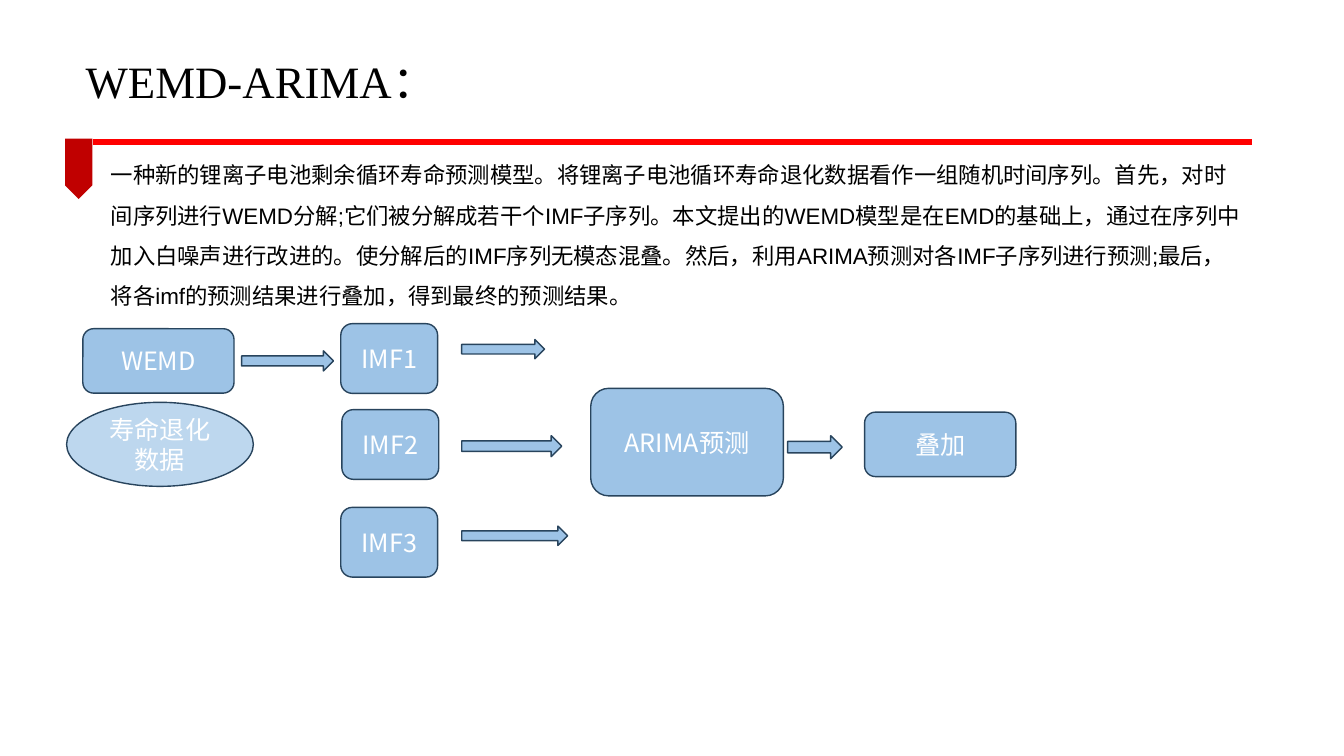
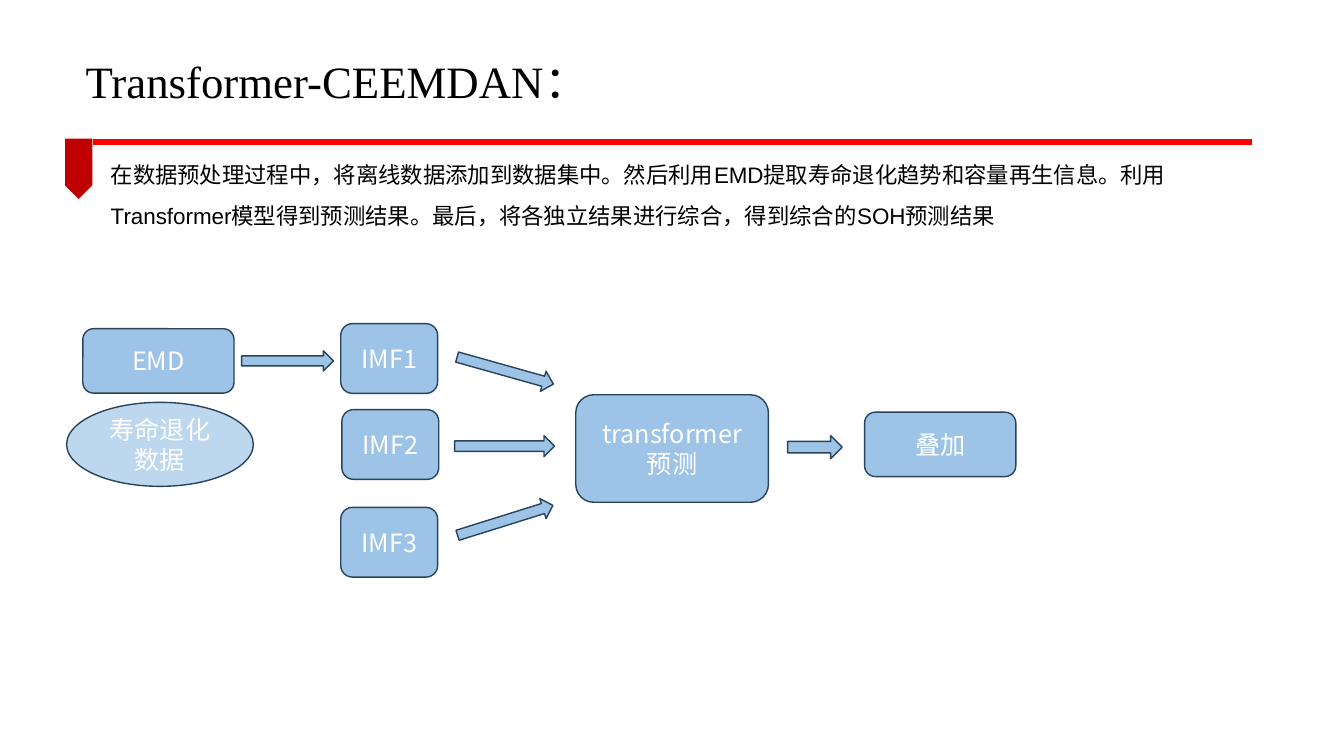
from lxml.etree import SubElement
from pptx import Presentation
from pptx.dml.color import RGBColor
from pptx.enum.shapes import MSO_CONNECTOR, MSO_SHAPE
from pptx.enum.text import MSO_ANCHOR, MSO_AUTO_SIZE, PP_ALIGN
from pptx.oxml.ns import qn
from pptx.util import Pt

COLORS = {
    "text": "000000",
    "rule": "FF0000",
    "ribbon": "C00000",
    "block": "9DC3E6",
    "data": "BDD7EE",
    "outline": "28445D",
    "label": "FFFFFF",
}
CHINESE_FONT = "Noto Sans CJK SC"


def write_text(shape, text, font="Arial", size=18, color="text",
               align=PP_ALIGN.LEFT, anchor=MSO_ANCHOR.TOP, spacing=1.0):
    frame = shape.text_frame
    frame.word_wrap = True
    frame.auto_size = MSO_AUTO_SIZE.NONE
    frame.vertical_anchor = anchor
    paragraph = frame.paragraphs[0]
    paragraph.alignment = align
    paragraph.line_spacing = spacing
    run = paragraph.add_run()
    run.text = text
    run.font.name = font
    run.font.size = Pt(size)
    run.font.color.rgb = RGBColor.from_string(COLORS[color])
    SubElement(run._r.get_or_add_rPr(), qn("a:ea"), typeface=CHINESE_FONT)


def add_block(slide, kind, box, fill="block", outline="outline",
              rotation=0, text="", font=CHINESE_FONT):
    """Add a filled shape; box is left, top, width, height in points."""
    shape = slide.shapes.add_shape(kind, *[Pt(length) for length in box])
    shape.shadow.inherit = False
    shape.rotation = rotation
    shape.fill.solid()
    shape.fill.fore_color.rgb = RGBColor.from_string(COLORS[fill])
    if outline:
        shape.line.color.rgb = RGBColor.from_string(COLORS[outline])
        shape.line.width = Pt(1)
    else:
        shape.line.fill.background()
    if text:
        write_text(shape, text, font=font, color="label",
                   align=PP_ALIGN.CENTER, anchor=MSO_ANCHOR.MIDDLE)
    return shape


MODELS = [
    {
        "title": "WEMD-ARIMA：",
        "summary": "一种新的锂离子电池剩余循环寿命预测模型。将锂离子电池循环寿命退化数据看作一组"
                   "随机时间序列。首先，对时间序列进行WEMD分解;它们被分解成若干个IMF子序列。"
                   "本文提出的WEMD模型是在EMD的基础上，通过在序列中加入白噪声进行改进的。"
                   "使分解后的IMF序列无模态混叠。然后，利用ARIMA预测对各IMF子序列进行预测;"
                   "最后，将各imf的预测结果进行叠加，得到最终的预测结果。",
        "summary_height": 121,
        "decomposition": "WEMD",
        "predictor": "ARIMA预测",
        "predictor_corner": (422, 277.4),
        "arrows": [
            ((329.8, 242.5, 59.2, 13.8), 0),
            ((329.8, 311.2, 71.4, 15), 0),
            ((329.8, 375.8, 75.6, 13.8), 0),
        ],
    },
    {
        "title": "Transformer-CEEMDAN：",
        "summary": "在数据预处理过程中，将离线数据添加到数据集中。然后利用EMD提取寿命退化趋势和"
                   "容量再生信息。利用Transformer模型得到预测结果。最后，将各独立结果进行综合，"
                   "得到综合的SOH预测结果",
        "summary_height": 62.6,
        "decomposition": "EMD",
        "predictor": "transformer预测",
        "predictor_corner": (411.3, 282),
        "arrows": [
            ((325.2, 257.2, 71.4, 15), 15.7),
            ((324.7, 311.2, 71.4, 15), 0),
            ((325.2, 364.2, 71.4, 15), -17.4),
        ],
    },
]
IMF_CORNERS = [(243.4, 231.2), (244.2, 292.6), (243.4, 362.4)]

presentation = Presentation()
presentation.slide_width = Pt(960)
presentation.slide_height = Pt(540)

# Title-only layout: title position, red rule and ribbon
layout = presentation.slide_layouts[5]
for placeholder in list(layout.placeholders):
    if placeholder.placeholder_format.idx:
        placeholder.element.getparent().remove(placeholder.element)
    else:
        placeholder.left, placeholder.top = Pt(54), Pt(34.6)
        placeholder.width, placeholder.height = Pt(695.5), Pt(46)

slides = [presentation.slides.add_slide(layout) for model in MODELS]
rule = slides[0].shapes.add_connector(
    MSO_CONNECTOR.STRAIGHT, Pt(66.2), Pt(101.2), Pt(894.2), Pt(101.2))
rule.line.color.rgb = RGBColor.from_string(COLORS["rule"])
rule.line.width = Pt(4.5)
SubElement(rule.element.spPr, qn("a:effectLst"))
ribbon = add_block(slides[0], MSO_SHAPE.PENTAGON, (34.6, 110.9, 43.2, 19.4),
                   fill="ribbon", outline=None, rotation=90)
for decoration in (rule, ribbon):
    layout.shapes.element.append(decoration.element)

for slide, model in zip(slides, MODELS):
    write_text(slide.shapes.title, model["title"], font="Times New Roman",
               size=32, anchor=MSO_ANCHOR.MIDDLE)
    summary = slide.shapes.add_textbox(
        Pt(72), Pt(102.2), Pt(824.4), Pt(model["summary_height"]))
    write_text(summary, model["summary"], size=16, spacing=1.5)

    add_block(slide, MSO_SHAPE.OVAL, (47.6, 287.4, 133.4, 60), fill="data",
              text="寿命退化数据", font="Arial")

    boxes = [
        (model["decomposition"], (59.2, 234.8, 108, 46)),
        (model["predictor"], (*model["predictor_corner"], 137.6, 76.8)),
        ("叠加", (617.6, 294.4, 108, 46)),
    ]
    for number, corner in enumerate(IMF_CORNERS, start=1):
        boxes.append((f"IMF{number}", (*corner, 69.2, 49.8)))
    for text, box in boxes:
        add_block(slide, MSO_SHAPE.ROUNDED_RECTANGLE, box, text=text)

    arrows = [
        ((172.6, 250.6, 65.6, 14.4), 0),
        *model["arrows"],
        ((562.6, 311.2, 39, 16.4), 0),
    ]
    for box, rotation in arrows:
        add_block(slide, MSO_SHAPE.RIGHT_ARROW, box, rotation=rotation)

presentation.save("out.pptx")
